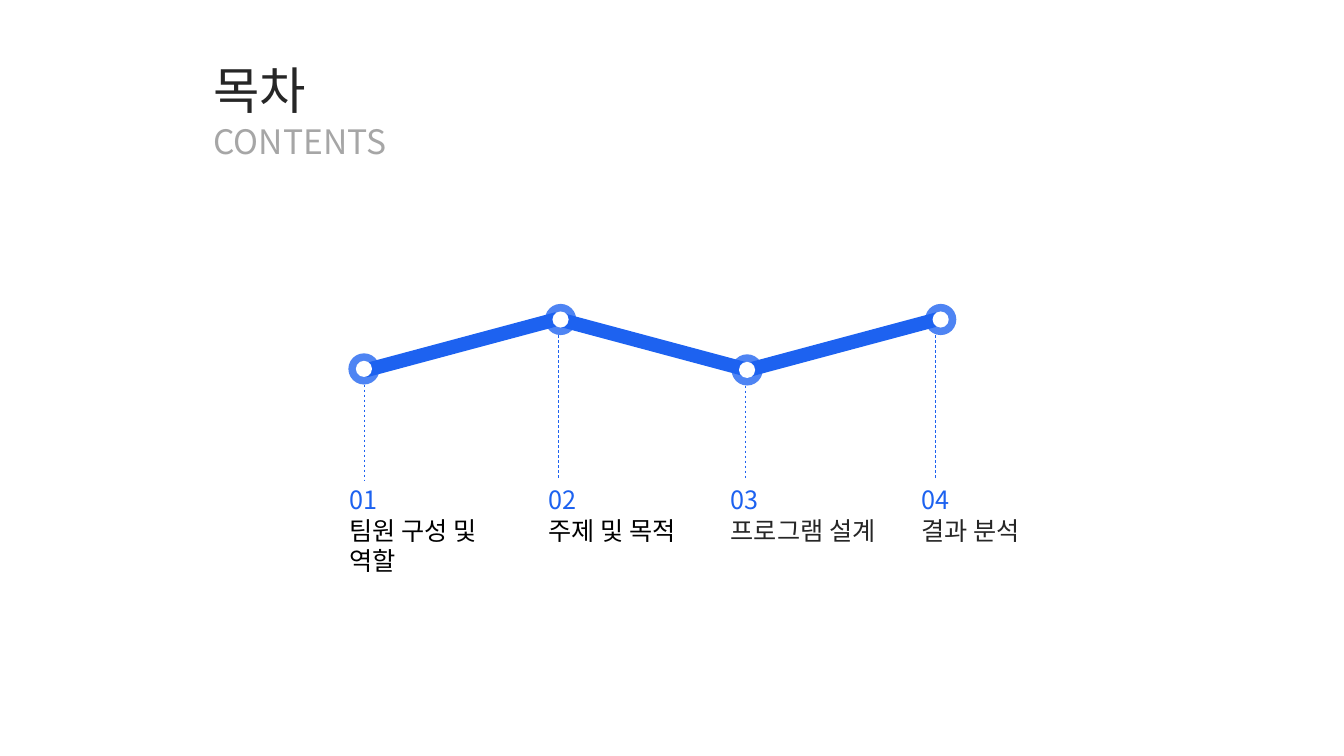
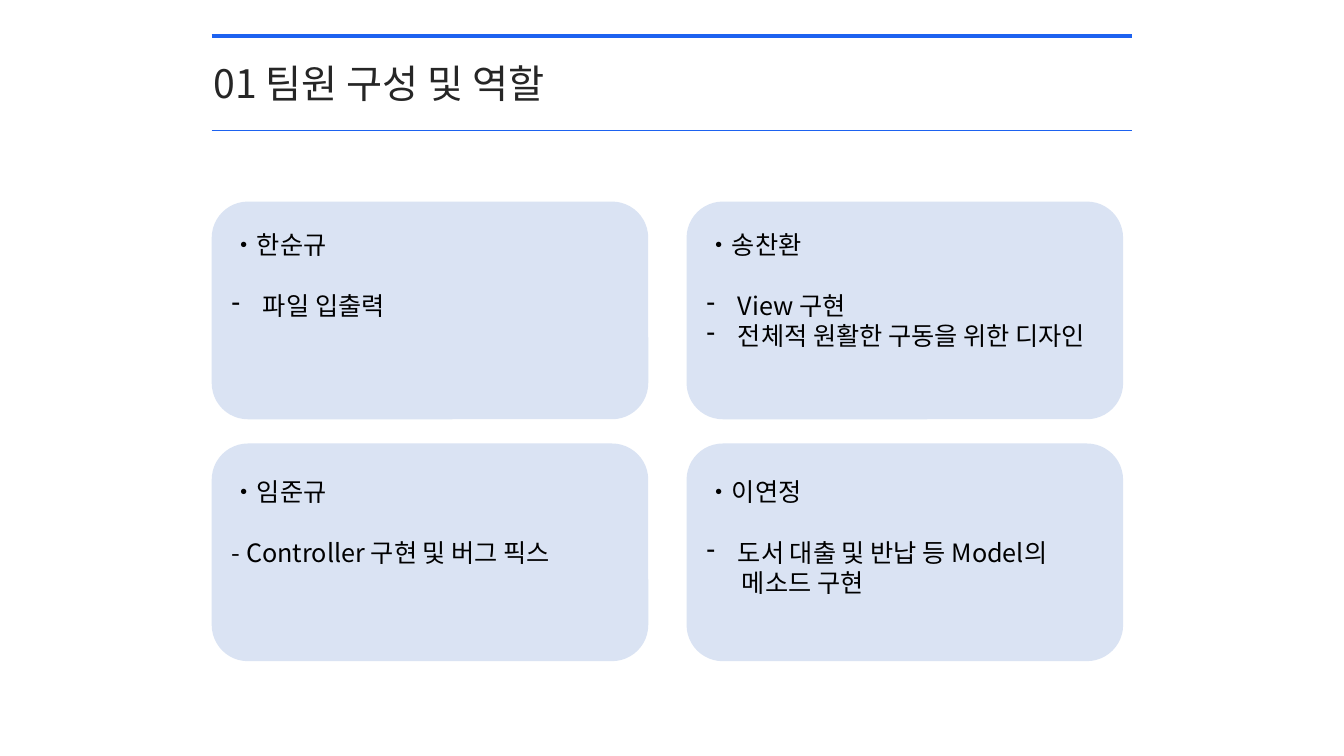
import pptx
import pptx.util
import pptx.dml.color
import pptx.enum.dml
import pptx.enum.shapes
import pptx.enum.text
import pptx.oxml
import pptx.oxml.ns

Inches = pptx.util.Inches
Pt = pptx.util.Pt
RGBColor = pptx.dml.color.RGBColor
SHAPE = pptx.enum.shapes.MSO_SHAPE
qn = pptx.oxml.ns.qn

BLUE = RGBColor(0x1D, 0x62, 0xF0)
PALE = RGBColor(0xDA, 0xE3, 0xF3)
WHITE = RGBColor(0xFF, 0xFF, 0xFF)
BLACK = RGBColor(0x00, 0x00, 0x00)
DARK = RGBColor(0x26, 0x26, 0x26)
GRAY = RGBColor(0xA6, 0xA6, 0xA6)
FONT = "Noto Sans CJK KR"

LEFT, RIGHT = 2.1, 11.23
RING, DOT = 0.31, 0.16
BAR_W, BAR_H, BAR_TOP, TILT = 1.97, 0.14, 3.35, 15
LABEL_TOP = 4.76
CARD_W, CARD_H = 4.33, 2.16
LINE_GAP = 21.5

FRAME = {"word_wrap": True,
         "auto_size": pptx.enum.text.MSO_AUTO_SIZE.SHAPE_TO_FIT_TEXT}

# label left, node centre x and y, drop line x, number, topic, topic colour
STEPS = [
    (3.37, 3.61, 3.66, 3.61, "01", "팀원 구성 및 역할", BLACK),
    (5.34, 5.56, 3.17, 5.54, "02", "주제 및 목적", BLACK),
    (7.15, 7.41, 3.67, 7.39, "03", "프로그램 설계", DARK),
    (9.04, 9.33, 3.17, 9.28, "04", "결과 분석", DARK),
]
BARS = [(3.59, -TILT), (5.5, TILT), (7.37, -TILT)]

# column, row, name, tasks as (text, indent, has dash bullet)
CARDS = [
    (0, 0, "•한순규", [("파일 입출력", 0.31, True)]),
    (1, 0, "•송찬환", [("View 구현", 0.31, True),
                    ("전체적 원활한 구동을 위한 디자인", 0.31, True)]),
    (0, 1, "•임준규", [("- Controller 구현 및 버그 픽스", 0, False)]),
    (1, 1, "•이연정", [("도서 대출 및 반납 등 Model의", 0.31, True),
                    ("메소드 구현", 0.35, False)]),
]


def apply(item, values):
    for name, value in values.items():
        setattr(item, name, value)


def add_box(slide, x, y, w, h):
    """Add an empty text box and return its text frame."""
    frame = slide.shapes.add_textbox(
        Inches(x), Inches(y), Inches(w), Inches(h)).text_frame
    apply(frame, FRAME)
    return frame


def write(para, text, size, color):
    run = para.add_run()
    run.text = text
    apply(run.font, {"size": Pt(size), "name": FONT})
    run.font.color.rgb = color
    east = run.font._element.makeelement(qn("a:ea"), {"typeface": FONT})
    run.font._element.find(qn("a:latin")).addnext(east)


def indent(para, inches, dash):
    """Indent a paragraph, with a hanging dash bullet if asked."""
    props = para._p.get_or_add_pPr()
    props.set("marL", str(Inches(inches)))
    if dash:
        props.set("indent", str(-Inches(inches)))
        mark = props.makeelement(qn("a:buChar"), {"char": "-"})
        props.append(mark)


def add_shape(slide, kind, x, y, w, h, color, turn=0, alpha=None):
    shape = slide.shapes.add_shape(
        kind, Inches(x), Inches(y), Inches(w), Inches(h))
    shape.shadow.inherit = False
    shape.rotation = turn
    shape.line.fill.background()
    shape.fill.solid()
    shape.fill.fore_color.rgb = color
    if alpha:
        tint = shape._element.spPr.find(qn("a:solidFill"))[0]
        tint.append(tint.makeelement(
            qn("a:alpha"), {"val": str(alpha * 1000)}))


def add_line(slide, start, end, width, dash=None):
    line = slide.shapes.add_connector(
        pptx.enum.shapes.MSO_CONNECTOR.STRAIGHT,
        *[Inches(v) for v in start + end])
    line.line.color.rgb = BLUE
    apply(line.line, {"width": Pt(width), "dash_style": dash})
    props = line._element.spPr
    props.append(props.makeelement(qn("a:effectLst"), {}))


def add_title(slide, text, size, color=DARK, top=0.54):
    frame = add_box(slide, 2.02, top, 7.56, size / 60 + 0.1)
    write(frame.paragraphs[0], text, size, color)


def add_node(slide, x, y):
    for size, color, alpha in ((RING, BLUE, 78), (DOT, WHITE, None)):
        add_shape(slide, SHAPE.OVAL, x - size / 2, y - size / 2,
                  size, size, color, alpha=alpha)


def add_label(slide, x, number, topic, color):
    frame = add_box(slide, x, LABEL_TOP, 1.73, 0.71)
    write(frame.paragraphs[0], number, 18, BLUE)
    write(frame.add_paragraph(), topic, 18, color)


def add_card(slide, col, row, name, tasks):
    x, y = LEFT + col * 4.71, 2 + row * 2.4
    add_shape(slide, SHAPE.ROUNDED_RECTANGLE, x, y, CARD_W, CARD_H, PALE)
    frame = add_box(slide, x + 0.1, y + 0.23 + row * 0.05, 4.38, 1.31)
    head = frame.paragraphs[0]
    write(head, name, 18, BLACK)
    head.space_after = Pt(LINE_GAP)
    for text, inset, dash in tasks:
        para = frame.add_paragraph()
        indent(para, inset, dash)
        write(para, text, 18, BLACK)


def make_contents(slide):
    add_title(slide, "목차", 36)
    add_title(slide, "CONTENTS", 24, GRAY, 1.15)
    for _, _, y, drop, *_ in STEPS:
        add_line(slide, (drop, y + RING / 2), (drop, LABEL_TOP), 0.5,
                 pptx.enum.dml.MSO_LINE.DASH)
    for x, turn in BARS:
        add_shape(slide, SHAPE.RECTANGLE, x, BAR_TOP, BAR_W, BAR_H, BLUE, turn)
    for left, x, y, _, number, topic, color in STEPS:
        add_node(slide, x, y)
        add_label(slide, left, number, topic, color)


def make_team(slide):
    add_title(slide, "01 팀원 구성 및 역할", 28)
    for y, width in ((0.36, 3), (1.29, 0.5)):
        add_line(slide, (LEFT, y), (RIGHT, y), width)
    for card in CARDS:
        add_card(slide, *card)


def main():
    deck = pptx.Presentation()
    apply(deck, {"slide_width": Inches(13.33), "slide_height": Inches(7.5)})
    for make in (make_contents, make_team):
        make(deck.slides.add_slide(deck.slide_layouts[6]))
    deck.save("out.pptx")


if __name__ == "__main__":
    main()
